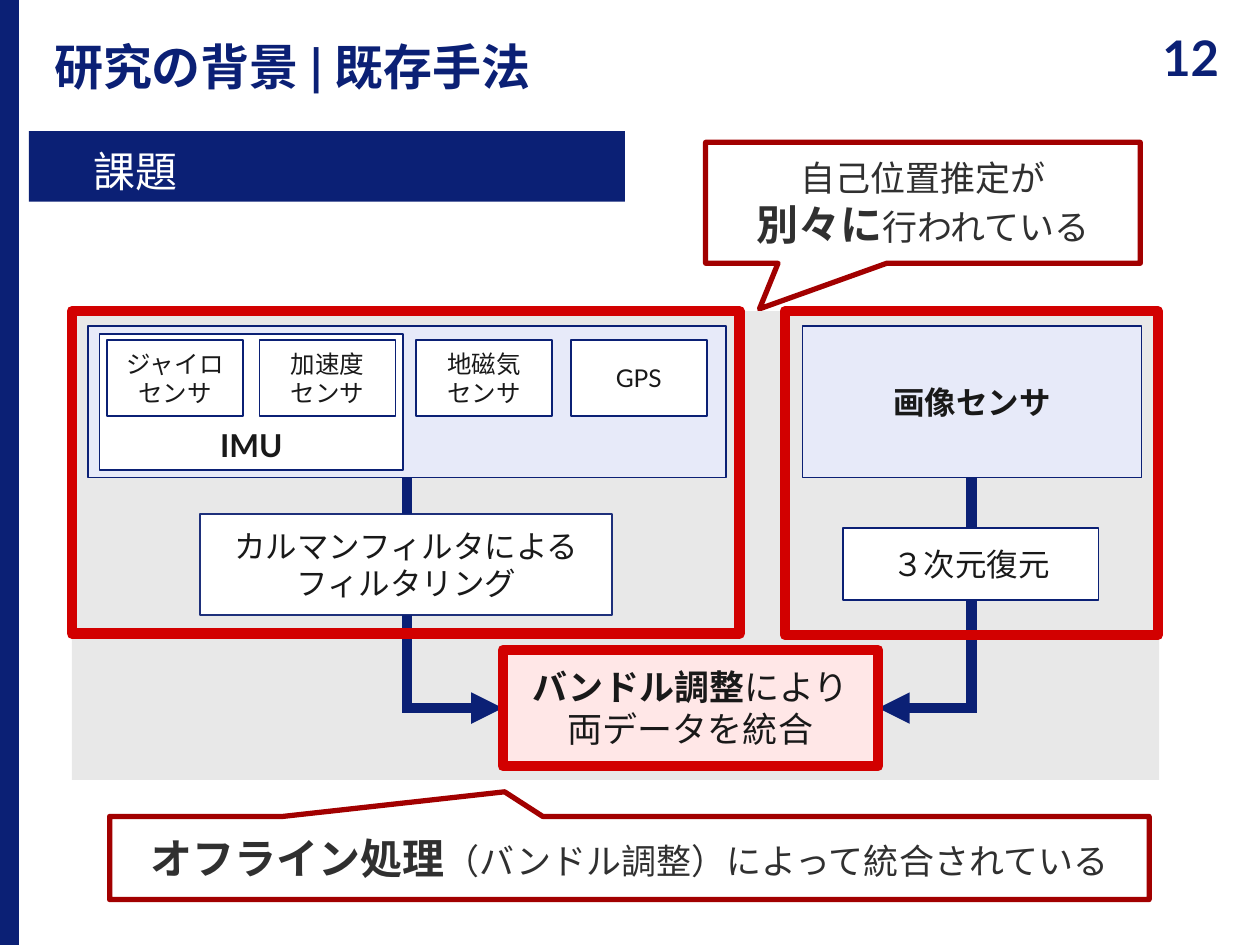
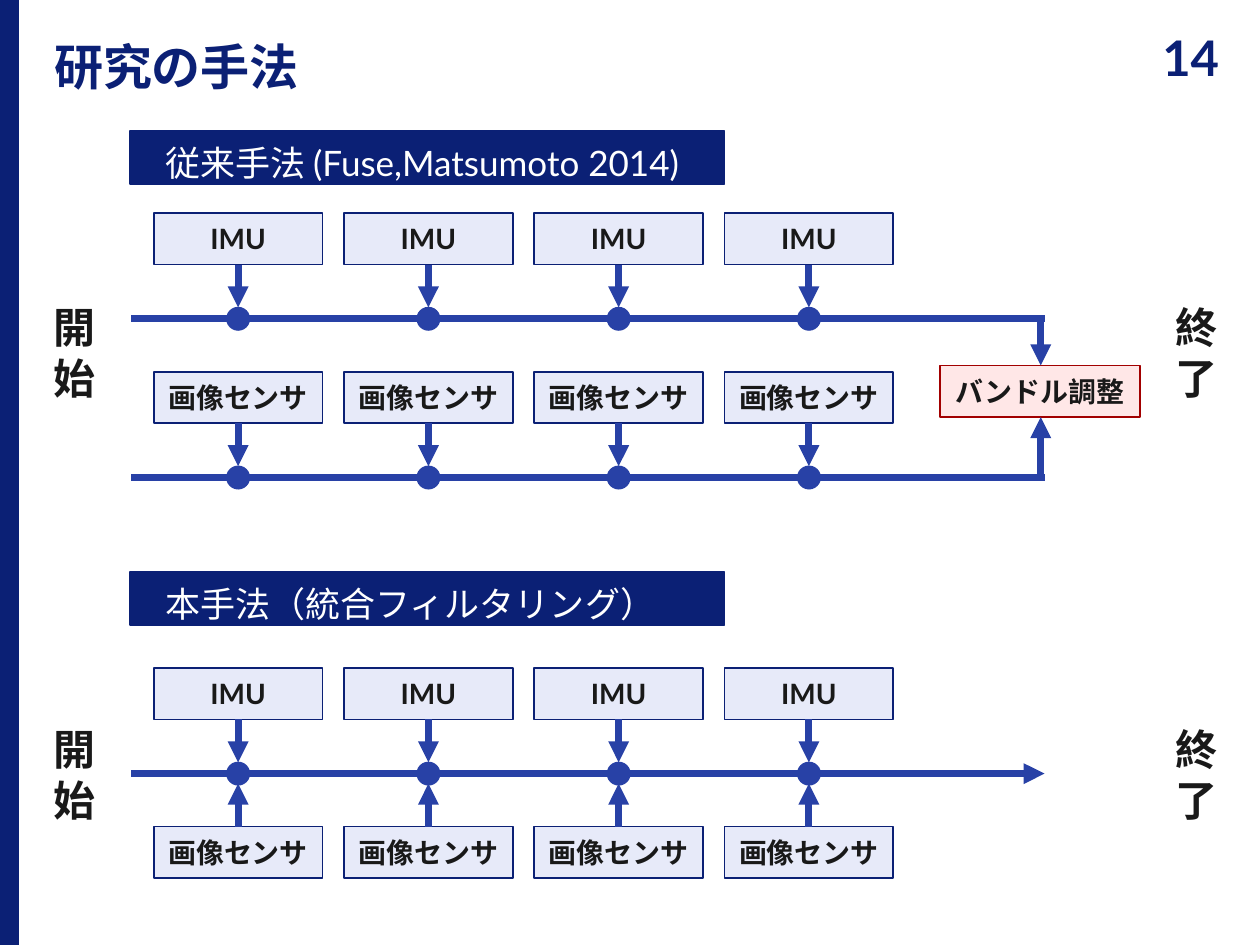
import pptx
import pptx.util
import pptx.dml.color
import pptx.enum.shapes
import pptx.enum.text
import pptx.oxml.ns
from lxml import etree

Inches, Pt = pptx.util.Inches, pptx.util.Pt
RGBColor = pptx.dml.color.RGBColor
SHAPE = pptx.enum.shapes.MSO_SHAPE
ALIGN = pptx.enum.text.PP_ALIGN
ANCHOR = pptx.enum.text.MSO_ANCHOR

FONT = "Lato"
NAVY = RGBColor(0x0B, 0x20, 0x75)
SLATE = RGBColor(0x1E, 0x30, 0x7B)
BLUE = RGBColor(0x28, 0x41, 0xA6)
PALE_BLUE = RGBColor(0xE7, 0xEA, 0xF9)
PALE_RED = RGBColor(0xFF, 0xE7, 0xE7)
DARK_RED = RGBColor(0xA2, 0x00, 0x00)
RED = RGBColor(0xD2, 0x00, 0x00)
GREY = RGBColor(0xE8, 0xE8, 0xE8)
WHITE = RGBColor(0xFF, 0xFF, 0xFF)
INK = RGBColor(0x19, 0x19, 0x19)
CHARCOAL = RGBColor(0x30, 0x30, 0x30)


# ---- Shared building blocks ----
def write(shape, text, size, color=INK, bold=False, align=ALIGN.CENTER,
          anchor=ANCHOR.MIDDLE, wrap=True, insets=None, spacing=None,
          strong=None, strong_size=None):
    """Fill a shape with text; a line that opens with `strong` gets it in bold."""
    frame = shape.text_frame
    frame.word_wrap = wrap
    frame.vertical_anchor = anchor
    if insets:
        (frame.margin_left, frame.margin_top,
         frame.margin_right, frame.margin_bottom) = map(Inches, insets)
    frame.text = text
    for paragraph in frame.paragraphs:
        paragraph.alignment = align
        if spacing:
            paragraph.line_spacing = spacing
        if strong and paragraph.text.startswith(strong):
            rest = paragraph.text[len(strong):]
            paragraph.text = strong
            paragraph.add_run().text = rest
        for run in paragraph.runs:
            is_strong = run.text == strong
            run.font.name = FONT
            run.font.size = Pt(strong_size if is_strong else size)
            run.font.bold = bold or is_strong
            run.font.color.rgb = color


def box(slide, left, top, width, height, fill=WHITE, line=NAVY, weight=1,
        kind=SHAPE.RECTANGLE):
    shape = slide.shapes.add_shape(
        kind, Inches(left), Inches(top), Inches(width), Inches(height))
    shape.shadow.inherit = False
    if fill is None:
        shape.fill.background()
    else:
        shape.fill.solid()
        shape.fill.fore_color.rgb = fill
    if line is None:
        shape.line.fill.background()
    else:
        shape.line.color.rgb = line
        shape.line.width = Pt(weight)
    return shape


def label(slide, left, top, width, height, text, size, **style):
    area = slide.shapes.add_textbox(
        Inches(left), Inches(top), Inches(width), Inches(height))
    write(area, text, size, **style)


def connect(slide, x1, y1, x2, y2, color=BLUE, weight=4, arrow=False):
    connector = slide.shapes.add_connector(
        pptx.enum.shapes.MSO_CONNECTOR.STRAIGHT,
        Inches(x1), Inches(y1), Inches(x2), Inches(y2))
    connector.line.color.rgb = color
    connector.line.width = Pt(weight)
    qn = pptx.oxml.ns.qn
    if arrow:
        etree.SubElement(connector.line._get_or_add_ln(), qn("a:tailEnd"), type="triangle")
    etree.SubElement(connector._element.spPr, qn("a:effectLst"))


def banner(slide, left, top, width, height, text, size, indent, line=None):
    band = box(slide, left, top, width, height, NAVY, line)
    write(band, text, size, WHITE, align=ALIGN.LEFT, spacing=0.9,
          insets=(indent, 0.12, 0.1, 0))


def callout(slide, left, top, width, height, tip, text, strong):
    bubble = box(slide, left, top, width, height, WHITE, DARK_RED, 3,
                 SHAPE.RECTANGULAR_CALLOUT)
    bubble.adjustments[0], bubble.adjustments[1] = tip
    write(bubble, text, 20, CHARCOAL, strong=strong, strong_size=24)


def new_slide(deck, title, number):
    slide = deck.slides.add_slide(deck.slide_layouts[6])
    label(slide, 8.9, 0, 1.1, 0.91, number, 28, color=NAVY, bold=True)
    box(slide, -0.01, 0, 0.16, 7.5, NAVY, None)
    label(slide, 0, 0, 8.9, 0.91, title, 28, color=NAVY, bold=True,
          align=ALIGN.LEFT, insets=(0.43, 0.2, 0, 0), spacing=0.9)
    return slide


# ---- Existing method: two separate pipelines joined offline ----
def sensor_box(slide, left, top, name):
    write(box(slide, left, top, 1.08, 0.6), name, 14)


def motion_sensors(slide, left, top):
    box(slide, left, top, 5.06, 1.2, PALE_BLUE)
    box(slide, left + 0.09, top + 0.06, 2.41, 1.08)
    names = ("ジャイロ\nセンサ", "加速度\nセンサ", "地磁気\nセンサ", "GPS")
    for offset, name in zip((0.15, 1.36, 2.6, 3.83), names):
        sensor_box(slide, left + offset, top + 0.11, name)
    label(slide, left + 0.94, top + 0.74, 0.71, 0.4, "IMU", 18, bold=True,
          anchor=ANCHOR.TOP, wrap=False)


def pipelines(slide, left, top):
    box(slide, left, top, 8.63, 3.72, GREY, None)
    motion_sensors(slide, left + 0.13, top + 0.12)
    kalman = box(slide, left + 1.02, top + 1.61, 3.27, 0.8, line=SLATE)
    write(kalman, "カルマンフィルタによる\nフィルタリング", 18)
    image_sensor = box(slide, left + 5.8, top + 0.12, 2.69, 1.2, PALE_BLUE)
    write(image_sensor, "画像センサ", 18, bold=True)
    reconstruction = box(slide, left + 6.12, top + 1.72, 2.03, 0.57)
    write(reconstruction, "３次元復元", 18)
    bundle = box(slide, left + 3.42, top + 2.69, 2.98, 0.91, PALE_RED, DARK_RED)
    write(bundle, "バンドル調整により\n両データを統合", 20,
          strong="バンドル調整", strong_size=20)

    # Flow from each sensor set down and into the bundle adjustment
    motion_x, image_x, join_y = left + 2.66, left + 7.14, top + 3.15
    for x, start, end in ((motion_x, 1.32, 1.61), (motion_x, 2.41, 3.19),
                          (image_x, 1.32, 1.72), (image_x, 2.3, 3.19)):
        connect(slide, x, top + start, x, top + end, NAVY, 6)
    connect(slide, motion_x - 0.03, join_y, left + 3.42, join_y, NAVY, 6, arrow=True)
    connect(slide, image_x + 0.04, join_y, left + 6.4, join_y, NAVY, 6, arrow=True)

    # Red frames around the three stages
    for x, y, width, height in ((3.42, 2.69, 2.98, 0.92), (0, 0, 5.3, 2.56),
                                (5.66, 0, 2.96, 2.57)):
        box(slide, left + x, top + y, width, height, None, RED, 6)


def background_slide(deck):
    slide = new_slide(deck, "研究の背景 | 既存手法", "12")
    banner(slide, 0.23, 1.04, 4.73, 0.56, "課題", 24, 0.51)
    callout(slide, 5.6, 1.13, 3.45, 0.96, (-0.376, 0.877),
            "自己位置推定が\n別々に行われている", "別々に")
    callout(slide, 0.87, 6.48, 8.25, 0.66, (-0.12, -0.796),
            "オフライン処理（バンドル調整）によって統合されている", "オフライン処理")
    pipelines(slide, 0.57, 2.47)


# ---- Research method: timelines of both approaches ----
STEPS, STEP_GAP = 4, 1.51
STEP_WIDTH, STEP_HEIGHT = 1.34, 0.41
AXIS_DROP = 0.84    # from the top of a step box to its timeline
DOT = 0.19


def step_row(slide, left, top, name, axis_y, dots=True):
    """Draw the step boxes, each with an arrow towards the timeline."""
    for step in range(STEPS):
        x = left + step * STEP_GAP
        center = x + STEP_WIDTH / 2
        write(box(slide, x, top, STEP_WIDTH, STEP_HEIGHT, PALE_BLUE), name, 16, bold=True)
        if axis_y > top:
            connect(slide, center, top + STEP_HEIGHT, center, axis_y - 0.09, arrow=True)
        else:
            connect(slide, center, top, center, axis_y + 0.08, arrow=True)
        if dots:
            box(slide, center - DOT / 2, axis_y - DOT / 2, DOT, DOT, BLUE, None,
                kind=SHAPE.OVAL)


def timeline(slide, left, top, name, arrow=False):
    axis_y = top + AXIS_DROP
    connect(slide, left, axis_y, left + 7.25, axis_y, arrow=arrow)
    step_row(slide, left + 0.18, top, name, axis_y)
    return axis_y


def start_and_end(slide, top):
    for x, text in ((0.33, "開\n始"), (9.23, "終\n了")):
        label(slide, x, top, 0.54, 0.91, text, 24, bold=True,
              align=ALIGN.LEFT, wrap=False)


def conventional_method(slide, left, top):
    banner(slide, left, top, 4.72, 0.42, "従来手法 (Fuse,Matsumoto 2014)", 20, 0.28, NAVY)
    start_and_end(slide, top + 1.3)
    imu_y = timeline(slide, left + 0.01, top + 0.65, "IMU")
    image_y = timeline(slide, left + 0.01, top + 1.91, "画像センサ")
    bundle_top, join_x = top + 1.86, left + 7.23
    bundle = box(slide, left + 6.43, bundle_top, 1.59, 0.41, PALE_RED, DARK_RED)
    write(bundle, "バンドル調整", 16, bold=True)
    connect(slide, join_x, imu_y, join_x, bundle_top, arrow=True)
    connect(slide, join_x, image_y, join_x, bundle_top + 0.41, arrow=True)


def proposed_method(slide, left, top):
    banner(slide, left, top, 4.72, 0.42, "本手法（統合フィルタリング）", 20, 0.28, NAVY)
    start_and_end(slide, top + 1.15)
    axis_y = timeline(slide, left + 0.01, top + 0.76, "IMU", arrow=True)
    step_row(slide, left + 0.19, top + 2.02, "画像センサ", axis_y, dots=False)


def method_slide(deck):
    slide = new_slide(deck, "研究の手法", "14")
    conventional_method(slide, 1.03, 1.04)
    proposed_method(slide, 1.03, 4.54)


def main():
    deck = pptx.Presentation()
    deck.slide_width, deck.slide_height = Inches(10), Inches(7.5)
    background_slide(deck)
    method_slide(deck)
    deck.save("out.pptx")


if __name__ == "__main__":
    main()
